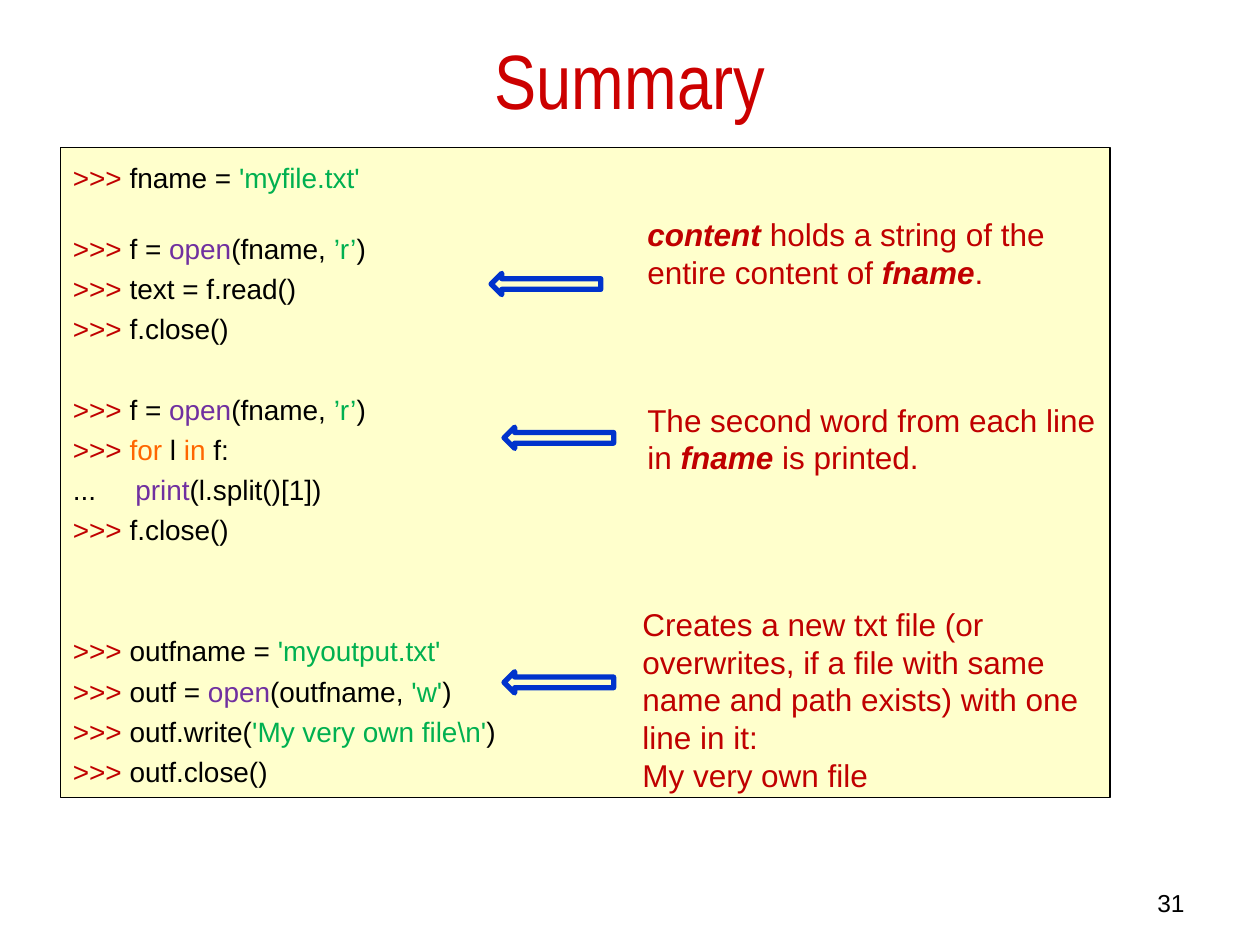
import pptx
import pptx.util
import pptx.dml.color
import pptx.enum.shapes
import pptx.enum.text
import pptx.oxml

Cm = pptx.util.Cm
Pt = pptx.util.Pt
RGB = pptx.dml.color.RGBColor
KIND = pptx.enum.shapes.MSO_SHAPE
ALIGN = pptx.enum.text.PP_ALIGN
FIT = pptx.enum.text.MSO_AUTO_SIZE
MID = pptx.enum.text.MSO_ANCHOR.MIDDLE

TITLE = RGB(0xCC, 0x00, 0x00)
RED = RGB(0xC0, 0x00, 0x00)
BLACK = RGB(0x00, 0x00, 0x00)
GREEN = RGB(0x00, 0xB0, 0x50)
PURPLE = RGB(0x70, 0x30, 0xA0)
ORANGE = RGB(0xFF, 0x66, 0x00)
CREAM = RGB(0xFF, 0xFF, 0xCC)
BLUE = RGB(0x00, 0x33, 0xCC)


def add_run(para, text, color, **form):
    run = para.add_run()
    run.text = text
    run.font.color.rgb = color
    for key, val in {"name": "Arial", **form}.items():
        setattr(run.font, key, val)


def add_box(left, top, width, height, **form):
    box = slide.shapes.add_textbox(Cm(left), Cm(top), Cm(width), Cm(height))
    for key, val in {"word_wrap": True, **form}.items():
        setattr(box.text_frame, key, val)
    return box.text_frame


deck = pptx.Presentation()
deck.slide_width, deck.slide_height = Cm(25.4), Cm(19.05)
slide = deck.slides.add_slide(deck.slide_layouts[6])

# Title
para = add_box(1.27, 0, 22.86, 3.18, vertical_anchor=MID).paragraphs[0]
para.alignment = ALIGN.CENTER
add_run(para, "Summary", TITLE, size=Pt(44), name="Arial Narrow")

# Code panel
panel = slide.shapes.add_shape(KIND.RECTANGLE, Cm(1.22), Cm(2.97), Cm(21.16), Cm(13.11))
panel.shadow.inherit = False
panel.fill.solid()
panel.fill.fore_color.rgb = CREAM
panel.line.color.rgb = BLACK
panel.line.width = Pt(0.75)
frame = panel.text_frame
form = {"word_wrap": True, "auto_size": FIT.SHAPE_TO_FIT_TEXT,
        "vertical_anchor": pptx.enum.text.MSO_ANCHOR.TOP}
for key, val in form.items():
    setattr(frame, key, val)

# Code lines: space before in points, then coloured parts
ask = (">>> ", RED)
start = [ask, ("f = ", BLACK), ("open", PURPLE), ("(fname, ", BLACK),
         ("’r’", GREEN), (")", BLACK)]
close = [ask, ("f.close()", BLACK)]
code = [
    (0, [ask, ("fname = ", BLACK), ("'myfile.txt'", GREEN)]),
    (17.5, start),
    (0, [ask, ("text = f.read()", BLACK)]),
    (0, close),
    (23, start),
    (0, [ask, ("for", ORANGE), (" l ", BLACK), ("in", ORANGE), (" f:", BLACK)]),
    (0, [("...\t", BLACK), ("print", PURPLE), ("(l.split()[1])", BLACK)]),
    (0, close),
    (46, [ask, ("outfname = ", BLACK), ("'myoutput.txt'", GREEN)]),
    (0, [ask, ("outf = ", BLACK), ("open", PURPLE), ("(outfname, ", BLACK),
         ("'w'", GREEN), (")", BLACK)]),
    (0, [ask, ("outf.write(", BLACK), ("'My very own file\\n'", GREEN), (")", BLACK)]),
    (0, [ask, ("outf.close()", BLACK)]),
]
for num, (gap, parts) in enumerate(code):
    para = frame.add_paragraph() if num else frame.paragraphs[0]
    form = {"alignment": ALIGN.LEFT, "line_spacing": 1.2, "space_before": Pt(gap)}
    for key, val in form.items():
        setattr(para, key, val)
    for text, color in parts:
        add_run(para, text, color, size=Pt(16))
    # Tab stop for the loop body
    if "\t" in parts[0][0]:
        tabs = pptx.oxml.parse_xml(
            '<a:tabLst xmlns:a="http://schemas.openxmlformats.org/drawingml/2006/main">'
            f'<a:tab pos="{Cm(1.26)}" algn="l"/></a:tabLst>')
        para._p.get_or_add_pPr().append(tabs)

# Notes beside the code: place, then paragraphs of (text, strong) parts
notes = [
    ((12.8, 4.22, 9.27, 1.8),
     [[("content ", True), ("holds a string of the entire content of ", False),
       ("fname", True), (".", False)]]),
    ((12.8, 7.95, 9.58, 1.8),
     [[("The second word from each line in ", False), ("fname", True),
       (" is printed.", False)]]),
    ((12.7, 12.07, 9.68, 4.11),
     [[("Creates a new txt file (or overwrites, if a file with same name "
        "and path exists) with one line in it:", False)],
      [("My very own file", False)]]),
]
for place, paras in notes:
    frame = add_box(*place, auto_size=FIT.SHAPE_TO_FIT_TEXT)
    for num, parts in enumerate(paras):
        para = frame.add_paragraph() if num else frame.paragraphs[0]
        for text, strong in parts:
            add_run(para, text, RED, size=Pt(18), bold=strong, italic=strong)

# Arrows from notes to code
for left, top in [(9.9, 5.51), (10.16, 8.61), (10.16, 13.54)]:
    arrow = slide.shapes.add_shape(KIND.RIGHT_ARROW, Cm(left), Cm(top), Cm(2.21), Cm(0.43))
    arrow.rotation = 180
    arrow.shadow.inherit = False
    arrow.fill.background()
    arrow.line.color.rgb = BLUE
    arrow.line.width = Pt(3)

# Page number
para = add_box(18.21, 17.78, 5.92, 0.64).paragraphs[0]
para.alignment = ALIGN.RIGHT
add_run(para, "31", BLACK, size=Pt(14))

deck.save("out.pptx")
